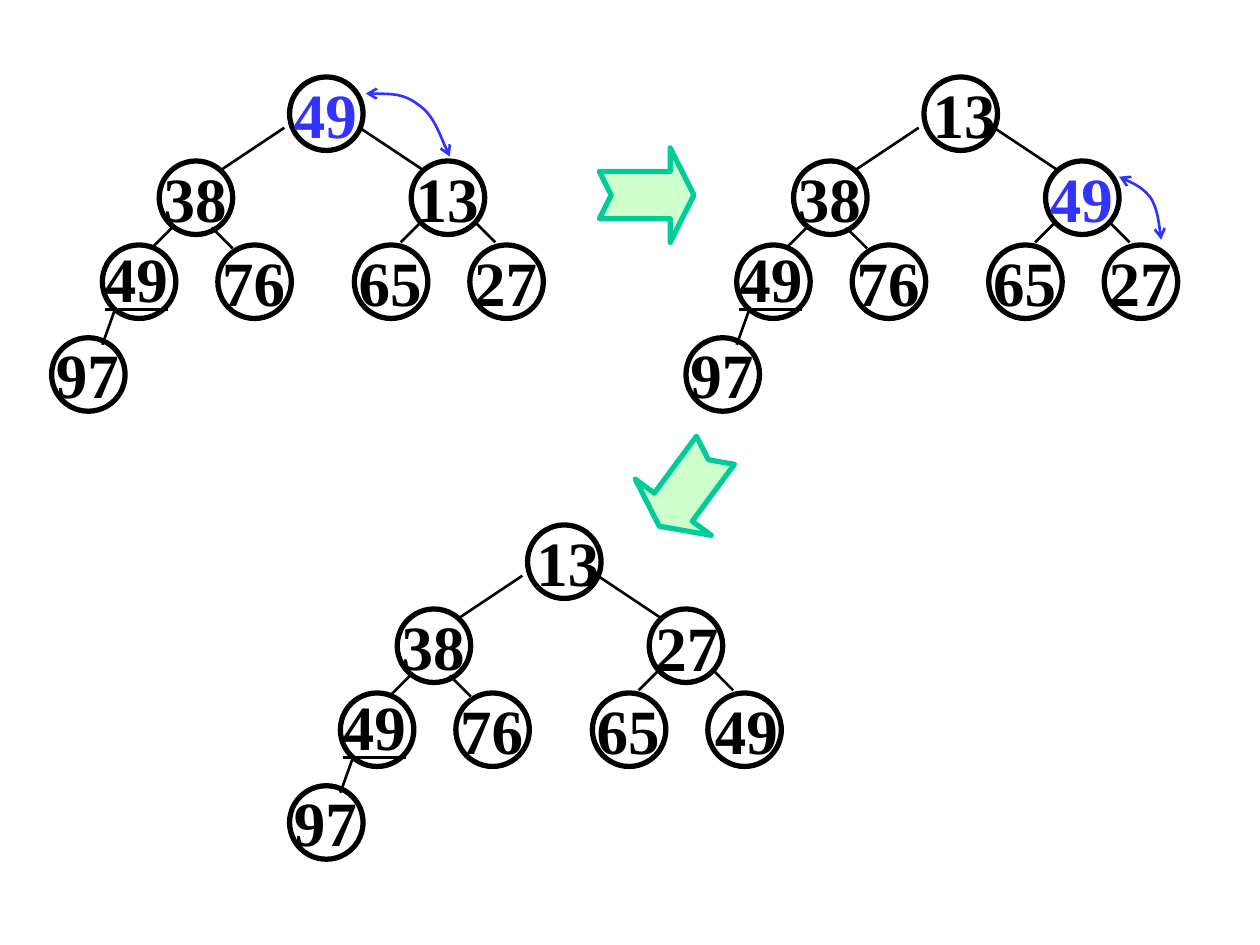
from dataclasses import dataclass

from lxml.etree import SubElement
from pptx import Presentation
from pptx.dml.color import RGBColor
from pptx.enum.shapes import MSO_CONNECTOR as CONNECTOR, MSO_SHAPE as SHAPE
from pptx.enum.text import MSO_AUTO_SIZE as AUTO_SIZE, PP_ALIGN as ALIGN
from pptx.oxml.ns import qn
from pptx.util import Pt

BLACK, BLUE, MINT, GREEN = "000000", "3333FF", "CCFFCC", "00CC99"
DIAMETER = 42
NODES = [(136, 0), (61.5, 48), (205.5, 48), (29, 96), (95, 96), (173, 96), (239, 96), (0, 149)]
EDGES = [
    ((133, 29), (97, 53)), ((176, 29), (212, 53)),
    ((69, 86), (57, 98)), ((91.5, 86), (103.5, 98)),
    ((211.5, 82.5), (199.5, 94.5)), ((241.5, 82.5), (253.5, 94.5)),
    ((36.5, 132), (29, 153)),
]


@dataclass
class Key:
    """A number in the heap, with the offset of its text from its circle."""
    label: str
    color: str = BLACK
    underline: bool = False
    dx: float = 2.5
    dy: float = -1


def rgb(value):
    """Turn a hex string into a colour."""
    return RGBColor.from_string(value)


def set_line(shape, color, width):
    """Set the line colour and width of a shape."""
    shape.line.color.rgb = rgb(color)
    shape.line.width = Pt(width)


def add_node(slide, left, top, key):
    """Draw one circle with its number."""
    circle = slide.shapes.add_shape(SHAPE.OVAL, Pt(left), Pt(top), Pt(DIAMETER), Pt(DIAMETER))
    circle.shadow.inherit = False
    circle.fill.background()
    set_line(circle, BLACK, 3)
    box = slide.shapes.add_textbox(Pt(left + key.dx), Pt(top + key.dy), Pt(36), Pt(43.2))
    frame = box.text_frame
    frame.margin_left = frame.margin_right = frame.margin_top = frame.margin_bottom = 0
    frame.word_wrap = False
    frame.auto_size = AUTO_SIZE.SHAPE_TO_FIT_TEXT
    frame.text = key.label
    paragraph = frame.paragraphs[0]
    paragraph.alignment = ALIGN.CENTER
    font = paragraph.runs[0].font
    font.name, font.size, font.bold = "Times New Roman", Pt(36), True
    font.color.rgb = rgb(key.color)
    if key.underline:
        font.underline = True


def add_edge(slide, start, end):
    """Draw a plain line between two points."""
    edge = slide.shapes.add_connector(CONNECTOR.STRAIGHT, *(Pt(value) for value in start + end))
    set_line(edge, BLACK, 1.5)
    SubElement(edge._element.spPr, qn("a:effectLst"))


def add_tree(slide, left, top, keys):
    """Draw a heap of eight keys from its left edge and the top of its root."""
    for (dx, dy), key in zip(NODES, keys):
        add_node(slide, left + dx, top + dy, key)
    for start, end in EDGES:
        add_edge(slide, *((left + x, top + y) for x, y in (start, end)))


def add_swap(slide, left, top, points):
    """Draw a curve with two arrowheads through cubic Bézier points."""
    places = [(Pt(left + x), Pt(top + y)) for x, y in points]
    builder = slide.shapes.build_freeform(*places[0])
    builder.add_line_segments(places[1:], close=False)
    curve = builder.convert_to_shape()
    curve.shadow.inherit = False
    curve.fill.background()
    set_line(curve, BLUE, 1.5)
    for tag in ("a:headEnd", "a:tailEnd"):
        SubElement(curve.line._get_or_add_ln(), qn(tag), type="arrow")
    outline = next(curve._element.iter(qn("a:path")))
    segments = outline.findall(qn("a:lnTo"))
    for first in range(0, len(segments), 3):
        bezier = SubElement(outline, qn("a:cubicBezTo"))
        for segment in segments[first:first + 3]:
            bezier.append(segment[0])
            outline.remove(segment)


def add_step_arrow(slide, left, top, rotation=0):
    """Draw the notched arrow that leads to the next heap."""
    arrow = slide.shapes.add_shape(SHAPE.NOTCHED_RIGHT_ARROW, Pt(left), Pt(top), Pt(54), Pt(54))
    arrow.adjustments[0], arrow.adjustments[1] = 0.5, 0.25
    arrow.rotation = rotation
    arrow.shadow.inherit = False
    arrow.fill.solid()
    arrow.fill.fore_color.rgb = rgb(MINT)
    set_line(arrow, GREEN, 3)


def heap_keys(root, right, last):
    """List the keys of a heap whose right branch changes."""
    return [root, Key("38"), right, Key("49", underline=True, dx=1.5, dy=-3),
            Key("76"), Key("65"), last, Key("97")]


def main():
    """Build the slide with three heaps."""
    presentation = Presentation()
    presentation.slide_width, presentation.slide_height = Pt(720), Pt(540)
    slide = presentation.slides.add_slide(presentation.slide_layouts[6])
    new_root = Key("13", dx=5)
    add_tree(slide, 29.5, 44, heap_keys(Key("49", BLUE), Key("13"), Key("27")))
    add_swap(slide, 209, 53.5, [(0, 0), (11, 0), (21.5, 0), (29.5, 6), (38, 11.5), (42.5, 24), (48, 36)])
    add_tree(slide, 392, 44, heap_keys(new_root, Key("49", BLUE), Key("27")))
    add_swap(slide, 639.5, 101, [(0, 0), (7, 3), (13.5, 6.5), (18, 12), (21.5, 18), (23, 27), (24, 36)])
    add_tree(slide, 165.5, 300, heap_keys(new_root, Key("27", dx=3.5, dy=0), Key("49", dx=4)))
    add_step_arrow(slide, 342.5, 84.5)
    add_step_arrow(slide, 365.75, 252, 126.5)
    presentation.save("out.pptx")


if __name__ == "__main__":
    main()
